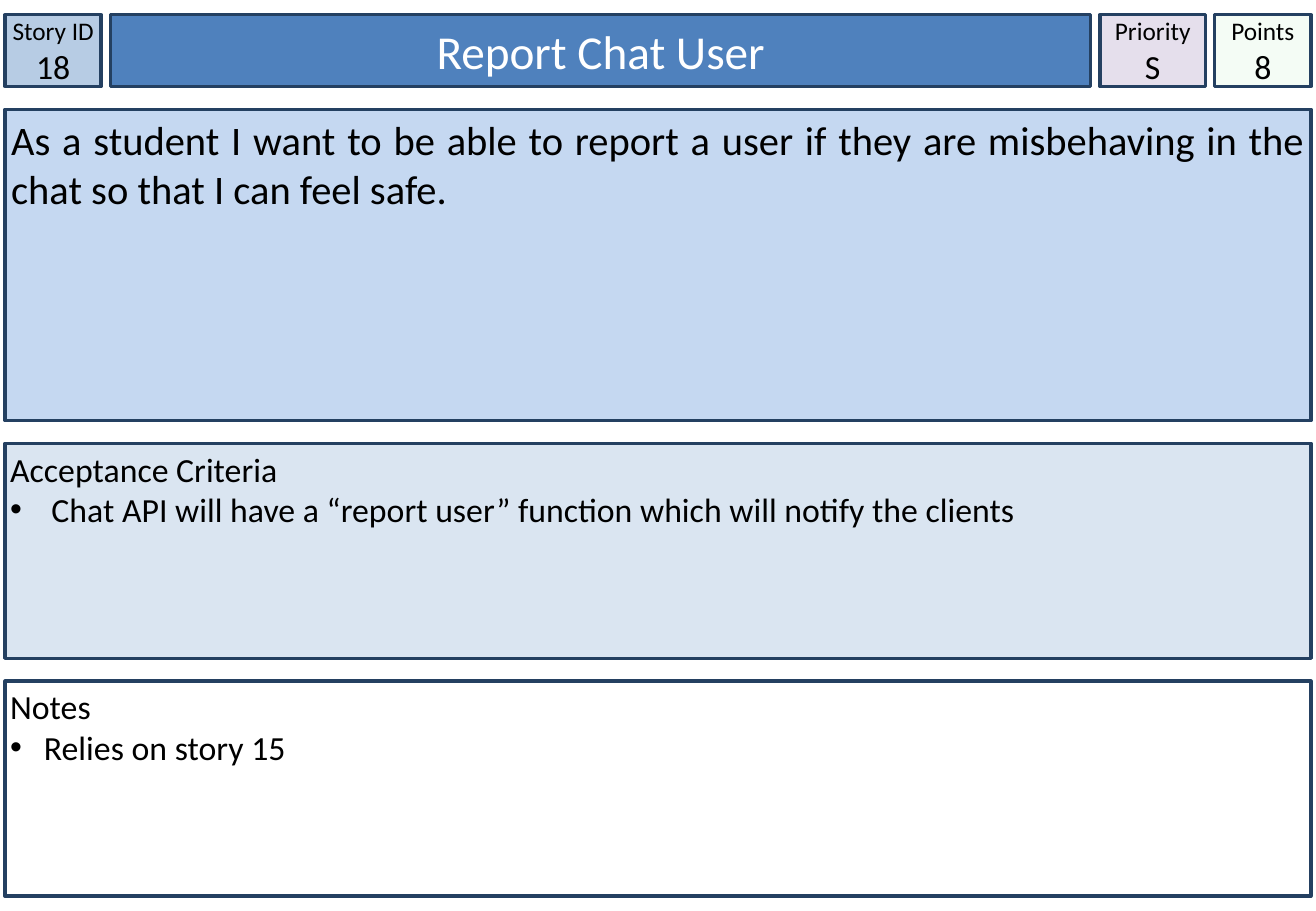
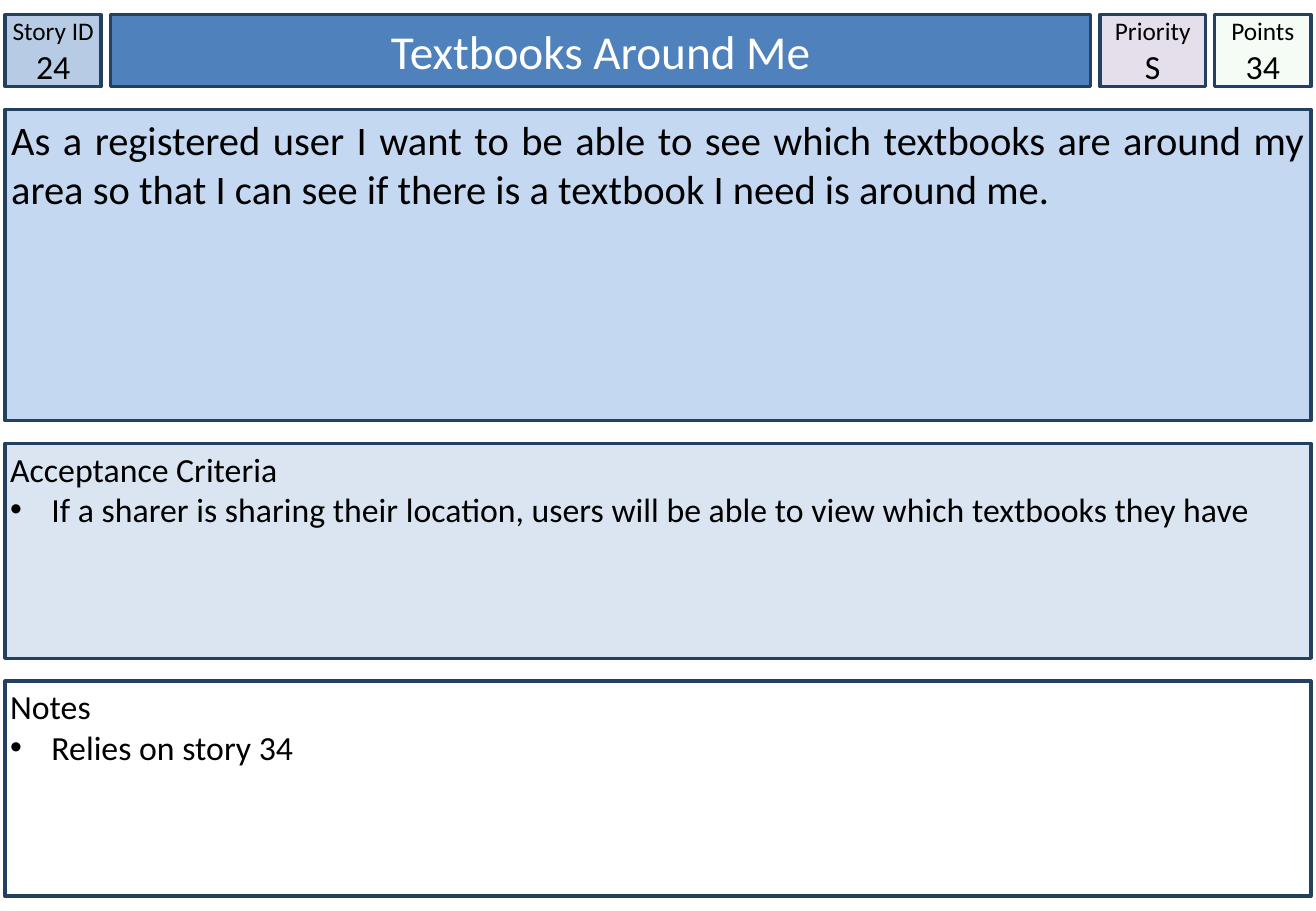
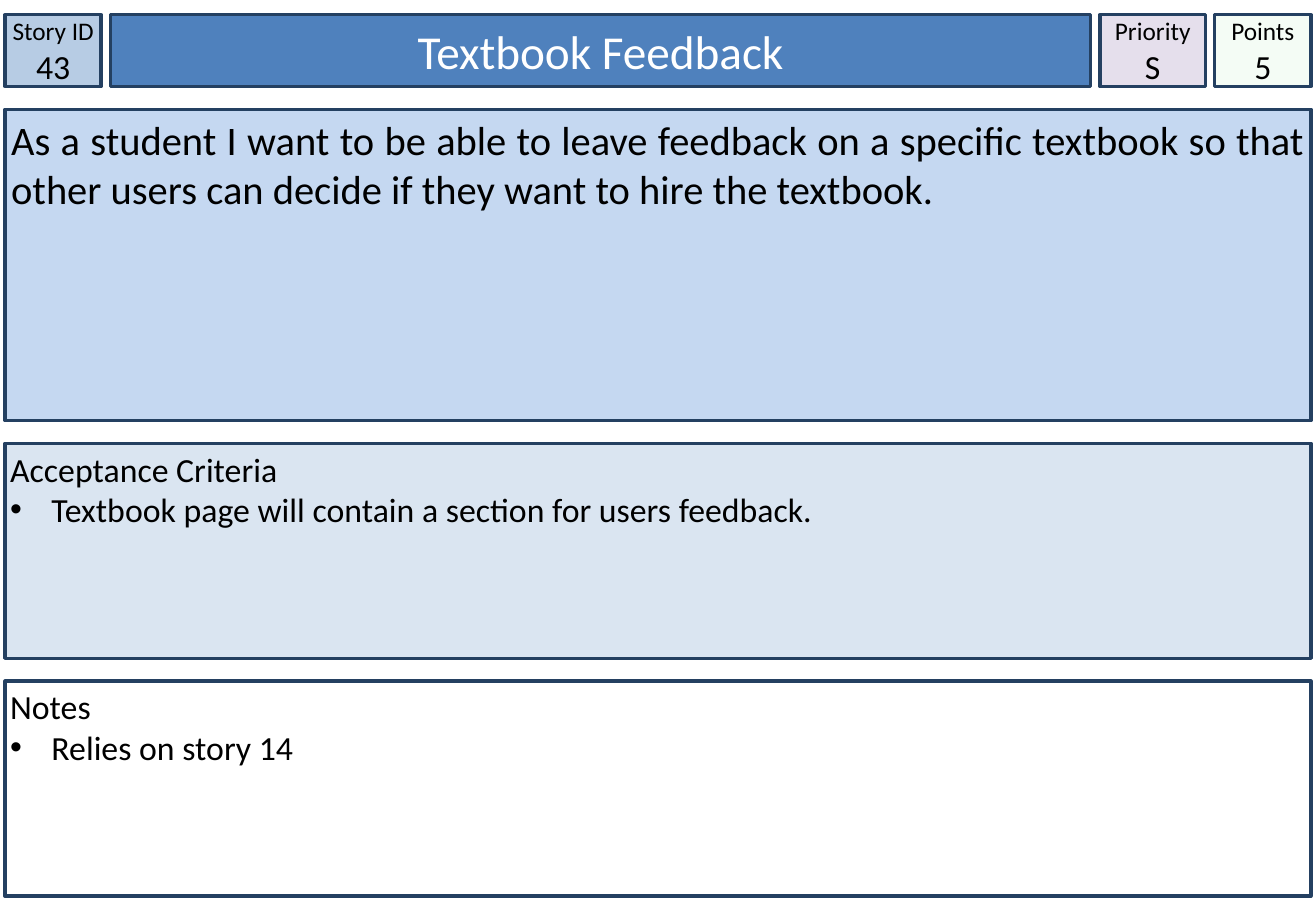
from dataclasses import dataclass

from pptx import Presentation
from pptx.dml.color import RGBColor
from pptx.enum.shapes import MSO_SHAPE
from pptx.enum.text import MSO_ANCHOR, PP_ALIGN
from pptx.oxml.ns import qn
from pptx.util import Pt
from lxml.etree import SubElement


@dataclass(frozen=True)
class Theme:
    font: str = "Calibri"
    outline: str = "244061"
    text: str = "000000"
    title_text: str = "FFFFFF"
    story_id: str = "B7CCE4"
    title: str = "4F81BD"
    priority: str = "E5DFEC"
    points: str = "CCF0CD"
    points_opacity: int = 20
    description: str = "C5D8F1"
    criteria: str = "DAE5F1"
    notes: str = "FFFFFF"
    label_size: int = 15
    body_size: int = 20
    description_size: int = 24
    title_size: int = 28
    outline_width: int = 2


@dataclass(frozen=True)
class Story:
    number: str
    title: str
    priority: str
    points: str
    description: str
    criterion: str
    note: str
    note_indent: float = 24.5


THEME = Theme()
SLIDE_WIDTH, SLIDE_HEIGHT = 780, 540
MARGIN = 3
TOP = 8.75
COLUMN_GAP = 5.5
ROW_GAP = 13.5
HEADER_WIDTHS = (57, 581, 62.5, 57)
ROW_HEIGHTS = (42.5, 184.5, 127.5, 127.5)
CRITERION_INDENT = 24.5

STORIES = (
    Story(
        "18", "Report Chat User", "S", "8",
        "As a student I want to be able to report a user if they are misbehaving "
        "in the chat so that I can feel safe.",
        "Chat API will have a “report user” function which will notify the clients",
        "Relies on story 15",
        note_indent=20,
    ),
    Story(
        "24", "Textbooks Around Me", "S", "34",
        "As a registered user I want to be able to see which textbooks are around "
        "my area so that I can see if there is a textbook I need is around me.",
        "If a sharer is sharing their location, users will be able to view which "
        "textbooks they have",
        "Relies on story 34",
    ),
    Story(
        "43", "Textbook Feedback", "S", "5",
        "As a student I want to be able to leave feedback on a specific textbook "
        "so that other users can decide if they want to hire the textbook.",
        "Textbook page will contain a section for users feedback.",
        "Relies on story 14",
    ),
)


def spans(start, sizes, gap):
    result = []
    for size in sizes:
        result.append((start, size))
        start += size + gap
    return result


def add_panel(slide, column, row, fill, inset=0, anchor=MSO_ANCHOR.TOP):
    (left, width), (top, height) = column, row
    panel = slide.shapes.add_shape(
        MSO_SHAPE.RECTANGLE, Pt(left), Pt(top), Pt(width), Pt(height)
    )
    panel.shadow.inherit = False
    panel.fill.solid()
    panel.fill.fore_color.rgb = RGBColor.from_string(fill)
    panel.line.color.rgb = RGBColor.from_string(THEME.outline)
    panel.line.width = Pt(THEME.outline_width)
    frame = panel.text_frame
    frame.word_wrap = True
    frame.vertical_anchor = anchor
    frame.margin_left = frame.margin_right = Pt(inset)
    frame.margin_top = frame.margin_bottom = Pt(inset)
    return panel


def write(panel, lines, sizes, align, color=THEME.text):
    frame = panel.text_frame
    frame.text = "\n".join(lines)
    for paragraph, size in zip(frame.paragraphs, sizes):
        paragraph.alignment = align
        for run in paragraph.runs:
            run.font.name = THEME.font
            run.font.size = Pt(size)
            run.font.color.rgb = RGBColor.from_string(color)


def set_opacity(panel, percent):
    color = panel.fill._xPr.find(qn("a:solidFill"))[0]
    SubElement(color, qn("a:alpha"), val=str(percent * 1000))


def add_bullet(paragraph, indent):
    properties = paragraph._p.get_or_add_pPr()
    properties.set("marL", str(Pt(indent)))
    properties.set("indent", str(-Pt(indent)))
    bullet_color = SubElement(properties, qn("a:buClr"))
    SubElement(bullet_color, qn("a:srgbClr"), val=THEME.text)
    SubElement(properties, qn("a:buFont"), typeface="Arial")
    SubElement(properties, qn("a:buChar"), char="•")


def add_badge(slide, column, row, fill, label, value):
    badge = add_panel(slide, column, row, fill, anchor=MSO_ANCHOR.MIDDLE)
    write(badge, (label, value), (THEME.label_size, THEME.body_size), PP_ALIGN.CENTER)
    return badge


def add_title(slide, column, row, title):
    banner = add_panel(slide, column, row, THEME.title, anchor=MSO_ANCHOR.MIDDLE)
    write(banner, (title,), (THEME.title_size,), PP_ALIGN.CENTER, THEME.title_text)


def add_description(slide, column, row, description):
    panel = add_panel(slide, column, row, THEME.description, inset=3.6)
    write(panel, (description,), (THEME.description_size,), PP_ALIGN.JUSTIFY)


def add_section(slide, column, row, fill, heading, item, indent):
    section = add_panel(slide, column, row, fill, inset=3)
    write(section, (heading, item), (THEME.body_size,) * 2, PP_ALIGN.LEFT)
    add_bullet(section.text_frame.paragraphs[1], indent)


def add_story(presentation, story):
    slide = presentation.slides.add_slide(presentation.slide_layouts[6])
    id_column, title_column, priority_column, points_column = spans(
        MARGIN, HEADER_WIDTHS, COLUMN_GAP
    )
    header, description_row, criteria_row, notes_row = spans(TOP, ROW_HEIGHTS, ROW_GAP)
    full_width = (MARGIN, SLIDE_WIDTH - 2 * MARGIN)

    add_badge(slide, id_column, header, THEME.story_id, "Story ID", story.number)
    add_title(slide, title_column, header, story.title)
    add_description(slide, full_width, description_row, story.description)
    add_section(slide, full_width, criteria_row, THEME.criteria,
                "Acceptance Criteria", story.criterion, CRITERION_INDENT)
    points = add_badge(slide, points_column, header, THEME.points, "Points", story.points)
    set_opacity(points, THEME.points_opacity)
    add_badge(slide, priority_column, header, THEME.priority, "Priority", story.priority)
    add_section(slide, full_width, notes_row, THEME.notes,
                "Notes", story.note, story.note_indent)


def main():
    presentation = Presentation()
    presentation.slide_width = Pt(SLIDE_WIDTH)
    presentation.slide_height = Pt(SLIDE_HEIGHT)
    for story in STORIES:
        add_story(presentation, story)
    presentation.save("out.pptx")


if __name__ == "__main__":
    main()
